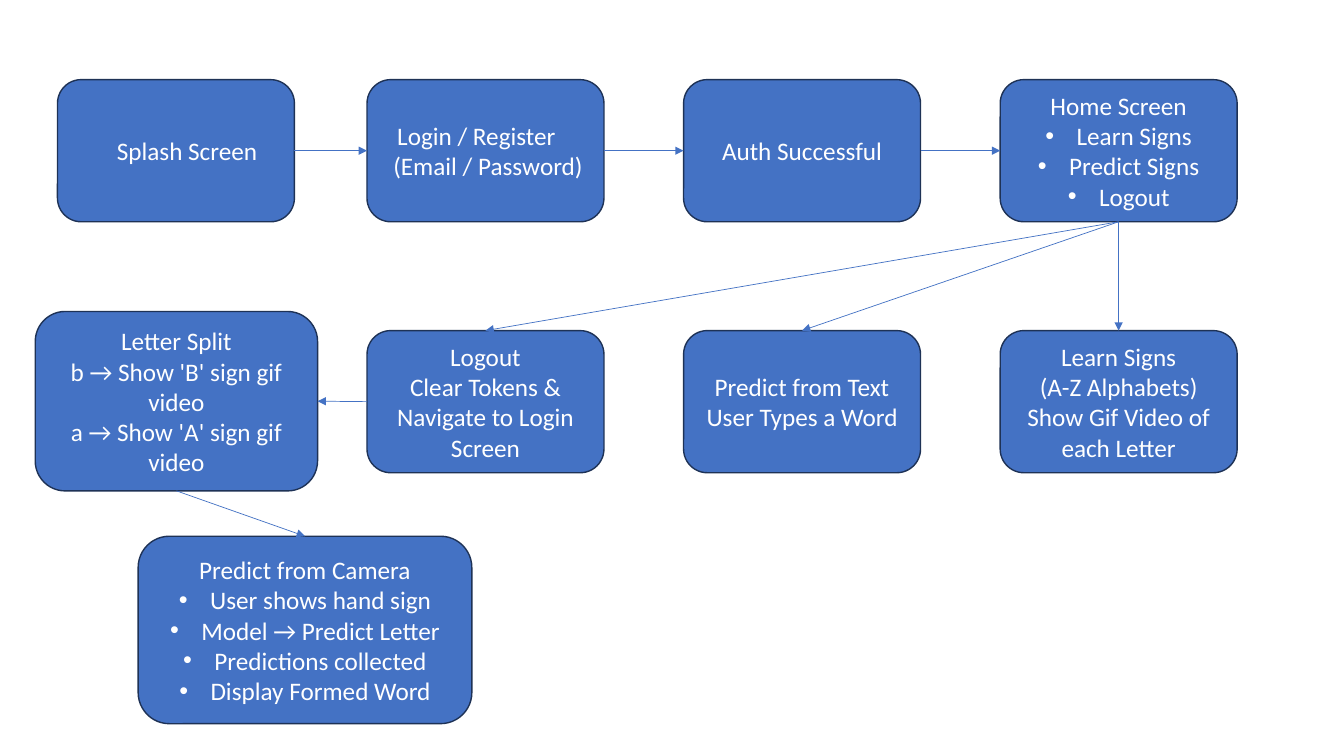
from dataclasses import dataclass

from lxml.etree import SubElement
from pptx import Presentation
from pptx.dml.color import RGBColor
from pptx.enum.shapes import MSO_CONNECTOR, MSO_SHAPE
from pptx.enum.text import MSO_ANCHOR, PP_ALIGN
from pptx.oxml.ns import qn
from pptx.shapes.autoshape import Shape
from pptx.slide import Slide
from pptx.util import Inches, Pt

BLUE = RGBColor(0x44, 0x72, 0xC4)
NAVY = RGBColor(0x1E, 0x32, 0x56)
WHITE = RGBColor(0xFF, 0xFF, 0xFF)

COLS = [3.64 + 3.14 * i for i in range(3)]
TOP, MID = 0.79, 3.28
WIDE, HIGH = 2.35, 1.41

# Connection sites of a rounded rectangle
NORTH, WEST, SOUTH, EAST = range(4)


@dataclass(frozen=True)
class Line:
    text: str
    bullet: bool = False
    left: float = 0
    right: float = 0


@dataclass(frozen=True)
class Step:
    name: str
    x: float
    y: float
    lines: list[Line]
    width: float = WIDE
    height: float = HIGH


@dataclass(frozen=True)
class Link:
    start: str
    out: int
    end: str
    into: int


def plain(*texts: str) -> list[Line]:
    return [Line(text) for text in texts]


def listed(head: str, *items: str) -> list[Line]:
    return [Line(head)] + [Line(item, bullet=True) for item in items]


STEPS = [
    Step("splash", 0.57, TOP, [Line("Splash Screen", left=0.22)]),
    Step("login", COLS[0], TOP, [Line("Login / Register", right=0.18),
                                 Line("(Email / Password)", left=0.05)]),
    Step("auth", COLS[1], TOP, plain("Auth Successful")),
    Step("home", COLS[2], TOP,
         listed("Home Screen", "Learn Signs", "Predict Signs", "Logout")),
    Step("learn", COLS[2], MID, plain("Learn Signs", "(A-Z Alphabets)",
                                      "Show Gif Video of each Letter")),
    Step("text", COLS[1], MID, plain("Predict from Text", "User Types a Word")),
    Step("logout", COLS[0], MID, plain("Logout", "Clear Tokens &",
                                       "Navigate to Login Screen")),
    Step("split", 0.35, 3.09, plain("Letter Split", "b → Show 'B' sign gif video",
                                    "a → Show 'A' sign gif video"), 2.8, 1.78),
    Step("camera", 1.37, 5.32,
         listed("Predict from Camera", "User shows hand sign",
                "Model → Predict Letter", "Predictions collected",
                "Display Formed Word"), 3.31, 1.86),
]

LINKS = [
    Link("splash", EAST, "login", WEST),
    Link("login", EAST, "auth", WEST),
    Link("auth", EAST, "home", WEST),
    Link("home", SOUTH, "learn", NORTH),
    Link("home", SOUTH, "text", NORTH),
    Link("home", SOUTH, "logout", NORTH),
    Link("logout", WEST, "split", EAST),
    Link("split", SOUTH, "camera", NORTH),
]


def write(box: Shape, lines: list[Line]) -> None:
    frame = box.text_frame
    frame.word_wrap = True
    frame.vertical_anchor = MSO_ANCHOR.MIDDLE
    for i, line in enumerate(lines):
        para = frame.add_paragraph() if i else frame.paragraphs[0]
        para.text = line.text
        para.alignment = PP_ALIGN.CENTER
        para.font.name = "Calibri"
        para.font.size = Pt(18)
        para.font.color.rgb = WHITE
        props = para._p.get_or_add_pPr()
        hang = Inches(0.31) if line.bullet else 0
        props.set("marL", str(Inches(line.left) + hang))
        props.set("marR", str(Inches(line.right)))
        props.set("indent", str(-hang))
        if line.bullet:
            font = props.makeelement(qn("a:buFont"), {"typeface": "Arial"})
            mark = props.makeelement(qn("a:buChar"), {"char": "•"})
            props.insert(0, font)
            props.insert(1, mark)


def draw_step(slide: Slide, step: Step) -> Shape:
    box = slide.shapes.add_shape(
        MSO_SHAPE.ROUNDED_RECTANGLE, Inches(step.x), Inches(step.y),
        Inches(step.width), Inches(step.height))
    box.shadow.inherit = False
    box.fill.solid()
    box.fill.fore_color.rgb = BLUE
    box.line.color.rgb = NAVY
    box.line.width = Pt(1)
    write(box, step.lines)
    return box


def draw_link(slide: Slide, link: Link, boxes: dict[str, Shape]) -> None:
    arrow = slide.shapes.add_connector(MSO_CONNECTOR.STRAIGHT, 0, 0, 0, 0)
    arrow.begin_connect(boxes[link.start], link.out)
    arrow.end_connect(boxes[link.end], link.into)
    arrow.line.color.rgb = BLUE
    arrow.line.width = Pt(0.5)
    SubElement(arrow.line._get_or_add_ln(), qn("a:tailEnd"), type="triangle")
    SubElement(arrow._element.spPr, qn("a:effectLst"))


def main() -> None:
    deck = Presentation()
    deck.slide_width, deck.slide_height = Inches(13.33), Inches(7.5)
    slide = deck.slides.add_slide(deck.slide_layouts[6])
    boxes = {step.name: draw_step(slide, step) for step in STEPS}
    for link in LINKS:
        draw_link(slide, link, boxes)
    deck.save("out.pptx")


if __name__ == "__main__":
    main()
